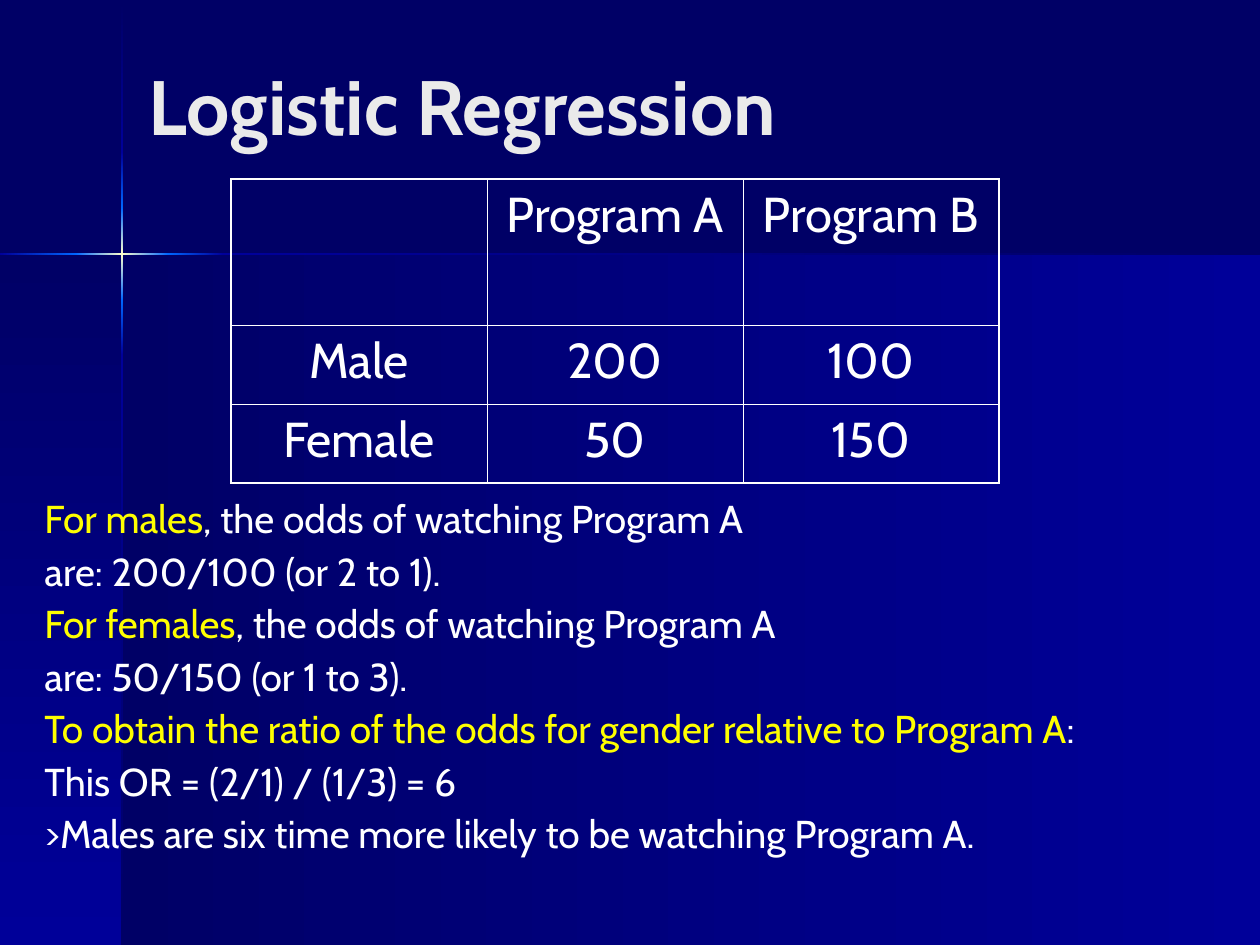
from copy import deepcopy

from lxml import etree
from pptx import Presentation
from pptx.dml.color import RGBColor
from pptx.enum.shapes import MSO_SHAPE
from pptx.enum.text import MSO_ANCHOR, PP_ALIGN
from pptx.oxml.ns import qn
from pptx.util import Pt

RECT = MSO_SHAPE.RECTANGLE
LEFT, CENTER = PP_ALIGN.LEFT, PP_ALIGN.CENTER
TOP, MIDDLE = MSO_ANCHOR.TOP, MSO_ANCHOR.MIDDLE
PX = 914400 / 126
FONT = "Cabin"
NAVY, BLUE, BRIGHT, GLOW = "000066", "000099", "0066FF", "FFFFCC"
WHITE, YELLOW, SILVER = "FFFFFF", "FFFF00", "EAEAEA"
DOWN, LEFTWARD = 270, 180


def px(*values):
    return [round(v * PX) for v in values]


def write(tf, lines, size, color=WHITE, bold=False, align=LEFT, anchor=TOP,
          before=0, spacing=None, hang=0):
    """Fill tf with lines, each a list of (text, colour or None) runs."""
    tf.word_wrap = True
    tf.vertical_anchor = anchor
    for i, runs in enumerate(lines):
        p = tf.add_paragraph() if i else tf.paragraphs[0]
        p.alignment = align
        p.line_spacing = spacing
        p.space_before = Pt(before if i else 0)
        if hang:
            pPr = p._p.get_or_add_pPr()
            pPr.set("marL", str(px(hang)[0]))
            pPr.set("indent", str(px(-hang)[0]))
        for text, tint in runs:
            r = p.add_run()
            r.text = text
            r.font.name, r.font.size, r.font.bold = FONT, Pt(size), bold
            r.font.color.rgb = RGBColor.from_string(tint or color)


prs = Presentation()
prs.slide_width, prs.slide_height = px(1260, 945)
s = prs.slides.add_slide(prs.slide_layouts[6])
s.background.fill.solid()
s.background.fill.fore_color.rgb = RGBColor.from_string(NAVY)

# Background panels, then the beams that cross in a glow
panels = [
    (122, 255, 1138, 690, LEFTWARD, [BLUE, NAVY]),
    (0, 255, 122, 690, DOWN, [NAVY, BLUE]),
    (121, 1, 2, 151, DOWN, [NAVY, BLUE]),
    (121, 355, 2, 590, DOWN, [BLUE, NAVY]),
    (223, 253, 1037, 2, LEFTWARD, [NAVY, BLUE]),
    (121, 300, 2, 55, DOWN, [BRIGHT, BLUE]),
    (121, 152, 2, 56, DOWN, [BLUE, BRIGHT]),
    (121, 208, 2, 92, DOWN, [BRIGHT, GLOW, BRIGHT]),
    (0, 253, 77, 2, LEFTWARD, [BRIGHT, BLUE]),
    (168, 253, 55, 2, LEFTWARD, [BLUE, BRIGHT]),
    (76, 253, 92, 2, LEFTWARD, [BRIGHT, GLOW, BRIGHT]),
]
for x, y, w, h, angle, colors in panels:
    sp = s.shapes.add_shape(RECT, *px(x, y, w, h))
    sp.shadow.inherit = False
    sp.line.fill.background()
    sp.fill.gradient()
    sp.fill.gradient_angle = angle
    stop_list = sp._element.spPr.find(".//" + qn("a:gsLst"))
    if len(colors) == 3:
        stop_list.append(deepcopy(stop_list[0]))
    for i, (stop, color) in enumerate(zip(sp.fill.gradient_stops, colors)):
        stop.color.rgb = RGBColor.from_string(color)
        stop.position = i / (len(colors) - 1)

title = s.shapes.add_textbox(*px(136, 32, 1040, 145))
write(title.text_frame, [[("Logistic Regression", None)]], 44, SILVER,
      bold=True, anchor=MIDDLE)

rows = [["", "Program A", "Program B"],
        ["Male", "200", "100"],
        ["Female", "50", "150"]]
heights = [146, 79, 79]
table = s.shapes.add_table(3, 3, *px(231, 179, 768, sum(heights))).table
table.first_row = table.horz_banding = False
for i, height in enumerate(px(*heights)):
    table.rows[i].height = height
    table.columns[i].width = px(256)[0]
for i, row in enumerate(rows):
    for j, text in enumerate(row):
        cell = table.cell(i, j)
        tcPr = cell._tc.get_or_add_tcPr()
        outer = {"L": j == 0, "R": j == 2, "T": i == 0, "B": i == 2}
        for side, is_outer in outer.items():
            ln = etree.SubElement(tcPr, qn("a:ln" + side),
                                  w=str(Pt(1.08 if is_outer else 0.45)))
            fill = etree.SubElement(ln, qn("a:solidFill"))
            etree.SubElement(fill, qn("a:srgbClr"), val=WHITE)
        cell.fill.background()
        if text:
            write(cell.text_frame, [[(text, None)]], 28, align=CENTER)

body = s.shapes.add_textbox(*px(32, 494, 1228, 420))
write(body.text_frame, [
    [("For males", YELLOW), (", the odds of watching Program A", None)],
    [("are: 200/100 (or 2 to 1).", None)],
    [("For females", YELLOW), (", the odds of watching Program A", None)],
    [("are: 50/150 (or 1 to 3).", None)],
    [("To obtain the ratio of the odds for gender relative to Program A",
      YELLOW), (":", None)],
    [("This OR = (2/1) / (1/3) = 6", None)],
    [(">Males are six time more likely to be watching Program A.", None)],
], 22.2, before=6, spacing=0.9, hang=48)

prs.save("out.pptx")
